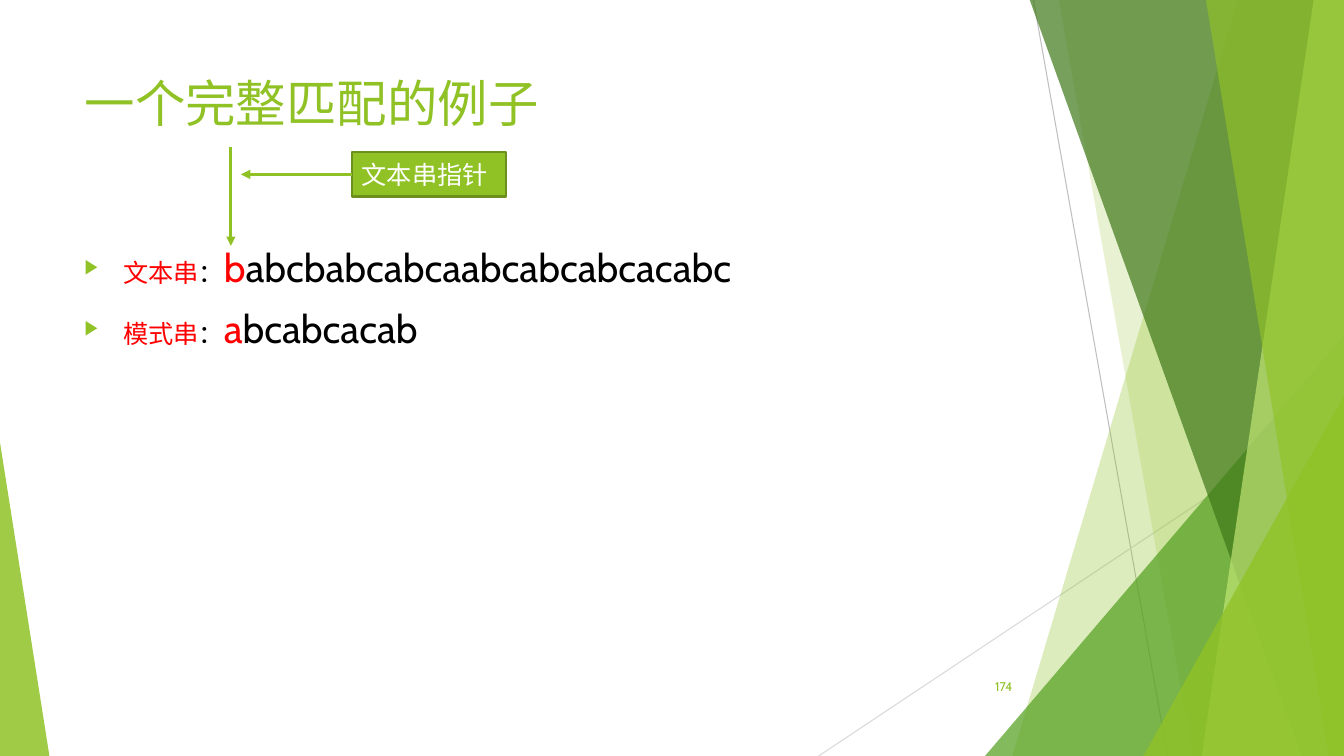
import pptx
import pptx.util
import pptx.dml.color
import pptx.enum.shapes
import pptx.enum.text
import pptx.oxml
import pptx.oxml.ns

Inches, Pt = pptx.util.Inches, pptx.util.Pt
MSO_SHAPE = pptx.enum.shapes.MSO_SHAPE
ANCHOR = pptx.enum.text.MSO_ANCHOR
ALIGN = pptx.enum.text.PP_ALIGN
qn = pptx.oxml.ns.qn

W, H = 13.33, 7.5
FONT = "Cabin"
COLORS = {
    "green": "90C226", "mid": "54A021", "dark": "3F7819", "lime": "C0E474",
    "edge": "6B901C", "grey": "BFBFBF", "pale": "D9D9D9",
    "red": "FF0000", "black": "000000", "white": "FFFFFF",
}
TITLE = "一个完整匹配的例子"
STRINGS = [  # label, current character, remaining characters
    ("文本串", "b", "abcbabcabcaabcabcabcacabc"),
    ("模式串", "a", "bcabcacab"),
]
POINTER_LABEL = "文本串指针"
PAGE = "174"

RULES = [((10.25, 0), (11.58, H), "grey"), ((W, 4.03), (8.12, H), "pale")]
# Back to front. band: top x, bottom x, reaching the right edge.
# triangle: left, top, width, apex position, standing on the bottom edge.
FACETS = [
    ("band", (12.28, 10.04), "green", 30),
    ("band", (10.5, 11.83), "green", 20),
    ("triangle", (9.77, 3.33, 3.56, 1), "mid", 72),
    ("band", (10.21, 12.91), "dark", 70),
    ("band", (13.03, 11.92), "lime", 70),
    ("band", (11.96, 13.18), "green", 65),
    ("triangle", (11.34, 3.93, 1.99, 1), "green", 80),
    ("triangle", (0, 4.39, 0.49, 0), "green", 85),
]


def rgb(name):
    return pptx.dml.color.RGBColor.from_string(COLORS[name])


def add_xml(parent, tag, **attrs):
    el = pptx.oxml.parse_xml(f"<{tag} {pptx.oxml.ns.nsdecls('a')}/>")
    for key, value in attrs.items():
        el.set(key, str(value))
    parent.append(el)
    return el


def add_text(p, text, size=18, color="black"):
    r = p.add_run()
    r.text = text
    r.font.name, r.font.size = FONT, Pt(size)
    r.font.color.rgb = rgb(color)


def place(sp, left, top, width, height):
    sp.left, sp.top = Inches(left), Inches(top)
    sp.width, sp.height = Inches(width), Inches(height)


def set_frame(sp, anchor, align):
    tf = sp.text_frame
    tf.word_wrap = True
    tf.auto_size = pptx.enum.text.MSO_AUTO_SIZE.NONE
    tf.vertical_anchor = anchor
    tf.paragraphs[0].alignment = align
    return tf


def add_line(start, end, color, width, arrow=False):
    ends = [Inches(v) for v in (*start, *end)]
    line = s.shapes.add_connector(pptx.enum.shapes.MSO_CONNECTOR.STRAIGHT, *ends)
    line.line.color.rgb, line.line.width = rgb(color), Pt(width)
    if arrow:
        add_xml(line.line._get_or_add_ln(), "a:tailEnd", type="triangle")
    add_xml(line._element.spPr, "a:effectLst")
    return line


def add_facet(kind, geometry, color, opacity):
    if kind == "band":
        top_x, bottom_x = geometry
        points = [(Inches(x), Inches(y)) for x, y in
                  [(top_x, -0.01), (W, -0.01), (W, H), (bottom_x, H)]]
        builder = s.shapes.build_freeform(*points[0], scale=1.0)
        builder.add_line_segments(points[1:], close=True)
        sp = builder.convert_to_shape()
    else:
        left, top, width, apex = geometry
        sp = s.shapes.add_shape(MSO_SHAPE.ISOSCELES_TRIANGLE, 0, 0, 0, 0)
        place(sp, left, top, width, H - top)
        sp.adjustments[0] = apex
    sp.shadow.inherit = False
    sp.fill.solid()
    sp.fill.fore_color.rgb = rgb(color)
    sp.line.fill.background()
    add_xml(sp._element.spPr.find(".//" + qn("a:srgbClr")), "a:alpha", val=opacity * 1000)


def set_bullet(p):
    p.space_before = Pt(10)
    pPr = p._p.get_or_add_pPr()
    pPr.set("marL", str(Inches(0.38)))
    pPr.set("indent", str(-Inches(0.38)))
    add_xml(add_xml(pPr, "a:buClr"), "a:srgbClr", val=COLORS["green"])
    add_xml(pPr, "a:buSzPct", val=80000)
    add_xml(pPr, "a:buFont", typeface=FONT)
    add_xml(pPr, "a:buChar", char="▶")


prs = pptx.Presentation()
prs.slide_width, prs.slide_height = Inches(W), Inches(H)
s = prs.slides.add_slide(prs.slide_layouts[1])

for start, end, color in RULES:
    add_line(start, end, color, 0.75)
for facet in FACETS:
    add_facet(*facet)

title, body = s.shapes.title, s.placeholders[1]
place(title, 0.74, 0.67, 9.4, 1.44)
tf = set_frame(title, ANCHOR.TOP, ALIGN.LEFT)
add_text(tf.paragraphs[0], TITLE, size=36, color="green")

place(body, 0.74, 2.36, 9.4, 4.24)
tf = set_frame(body, ANCHOR.TOP, ALIGN.LEFT)
for i, (label, current, rest) in enumerate(STRINGS):
    p = tf.add_paragraph() if i else tf.paragraphs[0]
    set_bullet(p)
    add_text(p, label, color="red")
    add_text(p, "：")
    add_text(p, current, size=28, color="red")
    add_text(p, rest, size=28)

number = s.shapes.add_textbox(0, 0, 0, 0)
place(number, 9.39, 6.61, 0.75, 0.4)
tf = set_frame(number, ANCHOR.MIDDLE, ALIGN.RIGHT)
add_text(tf.paragraphs[0], PAGE, size=9, color="green")

pointer = s.shapes.add_shape(MSO_SHAPE.RECTANGLE, 0, 0, 0, 0)
place(pointer, 3.49, 1.51, 1.53, 0.44)
pointer.shadow.inherit = False
pointer.fill.solid()
pointer.fill.fore_color.rgb = rgb("green")
pointer.line.color.rgb, pointer.line.width = rgb("edge"), Pt(1.5)
tf = set_frame(pointer, ANCHOR.MIDDLE, ALIGN.LEFT)
add_text(tf.paragraphs[0], POINTER_LABEL, color="white")

arrow = add_line((3.49, 1.73), (2.39, 1.73), "green", 2.25, arrow=True)
arrow.begin_connect(pointer, 1)
add_line((2.29, 1.46), (2.29, 2.44), "green", 2.25, arrow=True)

prs.save("out.pptx")
